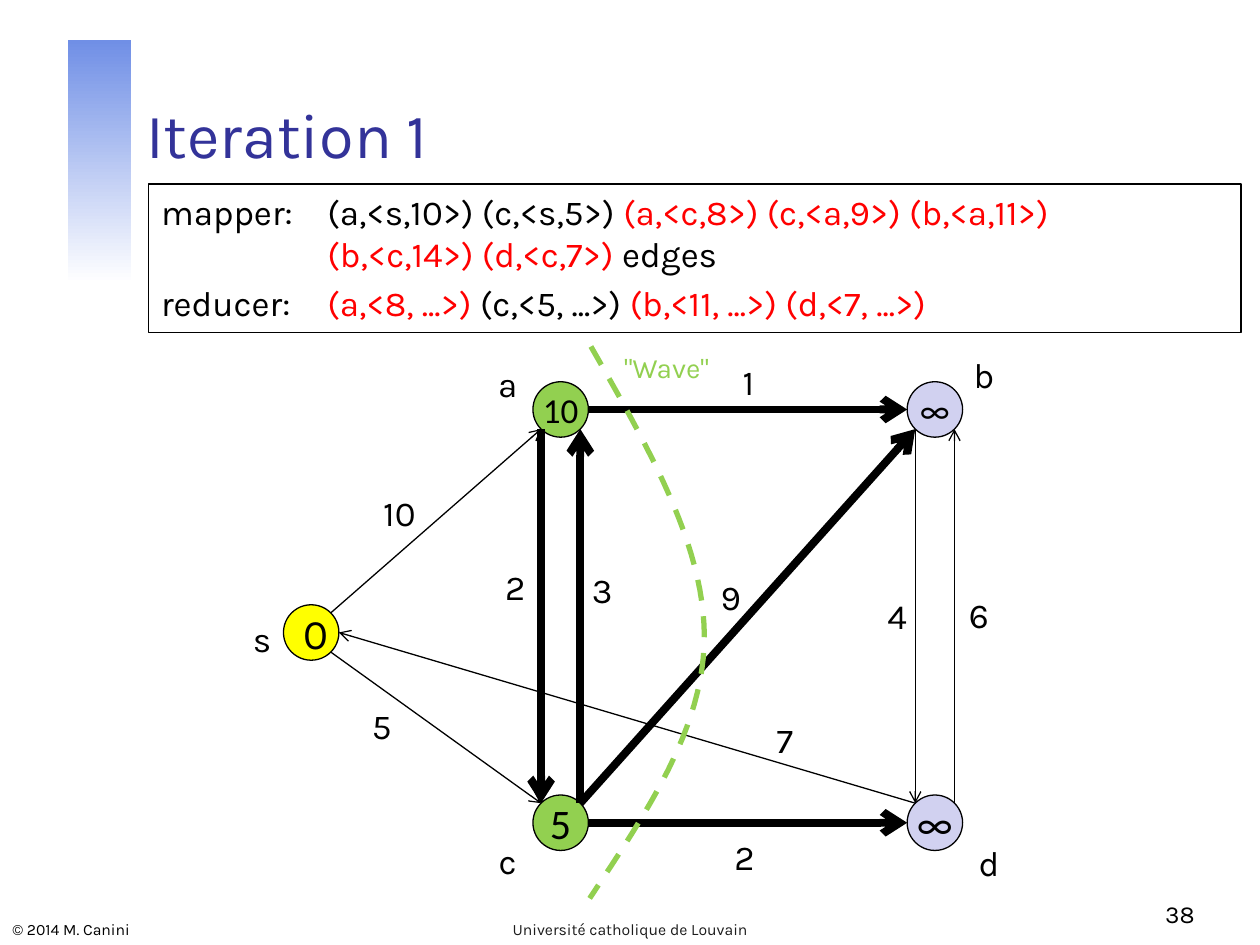
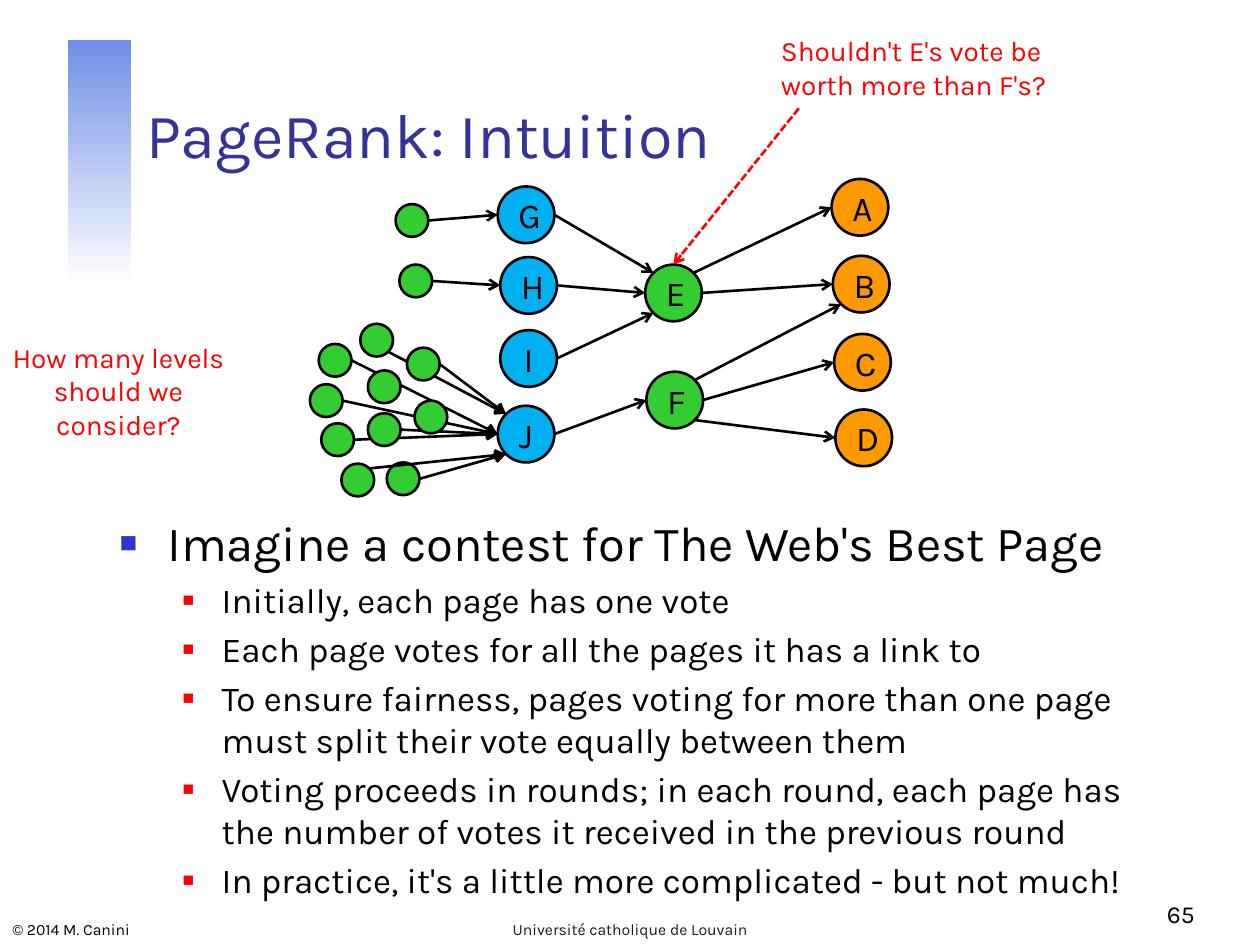
import pptx
import pptx.dml.color
import pptx.enum.dml
import pptx.enum.shapes
import pptx.enum.text
import pptx.oxml.ns
import pptx.util
from lxml import etree

PX = 9144
FONT = "Karla"
COLORS = {
    "title": "333399", "ink": "000000", "footer": "1C1C1C", "accent": "FF0000",
    "band_top": "708FE6", "band_end": "FFFFFF", "bullet": "3333CC",
    "source": "FFFF00", "reached": "92D050", "unreached": "D1D1F0",
    "target": "FF9900", "page": "33CC33", "hub": "00B0F0",
}
ALIGN = pptx.enum.text.PP_ALIGN
ANCHOR = pptx.enum.text.MSO_ANCHOR
DASH = pptx.enum.dml.MSO_LINE
SHAPE = pptx.enum.shapes.MSO_SHAPE
DIAGONAL = 0.5 ** 0.5
COMPASS = {
    "N": (0, -1), "E": (1, 0), "S": (0, 1), "W": (-1, 0),
    "NE": (DIAGONAL, -DIAGONAL), "SE": (DIAGONAL, DIAGONAL),
    "SW": (-DIAGONAL, DIAGONAL), "NW": (-DIAGONAL, -DIAGONAL),
}


def px(*lengths):
    return [pptx.util.Emu(round(length * PX)) for length in lengths]


def rgb(name):
    return pptx.dml.color.RGBColor.from_string(COLORS[name])


def xml(parent, tag, **attributes):
    return etree.SubElement(parent, pptx.oxml.ns.qn(tag), attributes)


def site(circle, direction):
    left, top, size = circle
    dx, dy = COMPASS[direction]
    return left + size / 2 * (1 + dx), top + size / 2 * (1 + dy)


def bezier(start, control_1, control_2, end, steps=24):
    for step in range(1, steps + 1):
        t = step / steps
        weights = ((1 - t) ** 3, 3 * t * (1 - t) ** 2, 3 * t * t * (1 - t), t ** 3)
        points = (start, control_1, control_2, end)
        yield tuple(sum(w * p[axis] for w, p in zip(weights, points)) for axis in (0, 1))


class Deck:
    """Holds the lecture style and the slide being filled."""

    def __init__(self):
        self.presentation = pptx.Presentation()
        self.presentation.slide_width, self.presentation.slide_height = px(1000, 750)
        self.slide = None

    def page(self, title, number, layout):
        layouts = self.presentation.slide_layouts
        self.slide = self.presentation.slides.add_slide(layouts[layout])
        band = self.shape(SHAPE.RECTANGLE, (54, 32, 50, 193))
        band.fill.gradient()
        band.fill.gradient_angle = 270
        for stop, name in zip(band.fill.gradient_stops, ("band_top", "band_end")):
            stop.color.rgb = rgb(name)
        self.place(self.slide.shapes.title, (106, 33, 852, 108), ANCHOR.BOTTOM)
        self.add_lines(self.slide.shapes.title.text_frame, [[(title, "title")]], 36)
        self.text("© 2014 M. Canini", (0, 722, 302, 28), 9, anchor=ANCHOR.BOTTOM)
        self.text("Université catholique de Louvain", (342, 722, 316, 28), 9,
                  "footer", ALIGN.CENTER, ANCHOR.BOTTOM)
        self.text(str(number), (750, 692, 208, 50), 14, "ink", ALIGN.RIGHT, ANCHOR.BOTTOM)

    def place(self, placeholder, box, anchor):
        placeholder.left, placeholder.top, placeholder.width, placeholder.height = px(*box)
        frame = placeholder.text_frame
        frame.auto_size = pptx.enum.text.MSO_AUTO_SIZE.NONE
        frame.vertical_anchor = anchor

    def add_lines(self, frame, paragraphs, size, align=ALIGN.LEFT, font=FONT):
        for index, parts in enumerate(paragraphs):
            paragraph = frame.add_paragraph() if index else frame.paragraphs[0]
            paragraph.alignment = align
            paragraph.space_before = pptx.util.Pt(size * 0.2 if index else 0)
            for words, color in parts:
                for line_index, line in enumerate(words.split("\n")):
                    if line_index:
                        paragraph.add_line_break()
                    self.add_words(paragraph, line, size, color, font)

    def add_words(self, paragraph, words, size, color="ink", font=FONT):
        run = paragraph.add_run()
        run.text = words
        run.font.size = pptx.util.Pt(size)
        run.font.name = font
        run.font.color.rgb = rgb(color)

    def text(self, words, box, size, color="ink", align=ALIGN.LEFT,
             anchor=ANCHOR.TOP, inset=None):
        frame = self.slide.shapes.add_textbox(*px(*box)).text_frame
        frame.word_wrap = True
        frame.vertical_anchor = anchor
        self.inset(frame, inset)
        self.add_lines(frame, [[(words, color)]], size, align)

    def label(self, words, center, top):
        self.text(words, (center - 30, top, 60, 44), 20, align=ALIGN.CENTER)

    def inset(self, frame, inset):
        if inset is not None:
            frame.margin_left = frame.margin_right = px(inset)[0]
            frame.margin_top = frame.margin_bottom = px(inset)[0]

    def shape(self, kind, box, fill=None, weight=None):
        shape = self.slide.shapes.add_shape(kind, *px(*box))
        shape.shadow.inherit = False
        self.paint(shape, fill, weight)
        return shape

    def paint(self, shape, fill, weight, color="ink"):
        if fill:
            shape.fill.solid()
            shape.fill.fore_color.rgb = rgb(fill)
        else:
            shape.fill.background()
        if weight:
            shape.line.width = pptx.util.Pt(weight)
            shape.line.color.rgb = rgb(color)
        else:
            shape.line.fill.background()

    def node(self, circle, fill, weight, words="", size=20, font=FONT, inset=None):
        left, top, diameter = circle
        node = self.shape(SHAPE.OVAL, (left, top, diameter, diameter), fill, weight)
        if words:
            node.text_frame.vertical_anchor = ANCHOR.MIDDLE
            self.inset(node.text_frame, inset)
            self.add_lines(node.text_frame, [[(words, "ink")]], size, ALIGN.CENTER, font)

    def arrow(self, start, end, weight, color="ink", dash=None):
        straight = pptx.enum.shapes.MSO_CONNECTOR.STRAIGHT
        arrow = self.slide.shapes.add_connector(straight, *px(*start, *end))
        arrow.line.width = pptx.util.Pt(weight)
        arrow.line.color.rgb = rgb(color)
        if dash:
            arrow.line.dash_style = dash
        xml(arrow.get_or_add_ln(), "a:tailEnd", type="arrow")
        xml(arrow._element.spPr, "a:effectLst")

    def curve(self, points, weight, color):
        start, *rest = [px(*point) for point in points]
        builder = self.slide.shapes.build_freeform(*start, scale=1.0)
        builder.add_line_segments(rest, close=False)
        curve = builder.convert_to_shape()
        curve.shadow.inherit = False
        self.paint(curve, None, weight, color)
        curve.line.dash_style = DASH.DASH

    def tabbed_box(self, paragraphs, box, tab, size):
        frame = self.shape(SHAPE.RECTANGLE, box, weight=0.75).text_frame
        frame.vertical_anchor = ANCHOR.TOP
        self.add_lines(frame, paragraphs, size)
        for paragraph in frame.paragraphs:
            tabs = xml(paragraph._p.get_or_add_pPr(), "a:tabLst")
            xml(tabs, "a:tab", pos=str(tab * PX), algn="l")

    def bullets(self, items, box):
        levels = [(28, 38, 38, "bullet", 60), (20, 81, 31, "accent", 55)]
        body = self.slide.placeholders[1]
        self.place(body, box, ANCHOR.TOP)
        for index, (level, words) in enumerate(items):
            size, margin, hanging, color, percent = levels[level]
            frame = body.text_frame
            paragraph = frame.add_paragraph() if index else frame.paragraphs[0]
            paragraph.level = level
            paragraph.space_before = pptx.util.Pt(size * 0.2 if index else 0)
            properties = paragraph._p.get_or_add_pPr()
            properties.set("marL", str(margin * PX))
            properties.set("indent", str(-hanging * PX))
            xml(xml(properties, "a:buClr"), "a:srgbClr", val=COLORS[color])
            xml(properties, "a:buSzPct", val=str(percent * 1000))
            xml(properties, "a:buFont", typeface="Arial")
            xml(properties, "a:buChar", char="■")
            self.add_words(paragraph, words, size)


def iteration_slide(deck):
    deck.page("Iteration 1", 38, 5)
    deck.tabbed_box([
        [("mapper:\t(a,<s,10>) (c,<s,5>) ", "ink"),
         ("(a,<c,8>) (c,<a,9>) (b,<a,11>)\n\t(b,<c,14>) (d,<c,7>)", "accent"),
         (" edges", "ink")],
        [("reducer:\t", "ink"), ("(a,<8, ...>) ", "accent"),
         ("(c,<5, ...>) ", "ink"), ("(b,<11, ...>) (d,<7, ...>)", "accent")],
    ], (118, 146, 867, 118), 132, 20)

    vertices = {"s": (225, 480, 44), "a": (423, 303, 44), "c": (423, 631, 44),
                "b": (720, 303, 44), "d": (720, 631, 44)}
    deck.node(vertices["s"], "source", 0.75, "0", 24)
    for name, fill, distance, size in [
            ("a", "reached", "10", 20), ("c", "reached", "5", 24),
            ("b", "unreached", "∞", 20), ("d", "unreached", "∞", 24)]:
        deck.node(vertices[name], fill, 0.75, distance, size, "Calibri", 0)

    thin, thick = 0.75, 4.5
    for tail, leave, head, enter, weight, cost, center, top in [
            ("s", "NE", "a", "SW", thin, "10", 317, 385),
            ("s", "SE", "c", "NW", thin, "5", 303, 554),
            ("a", "E", "b", "W", thick, "1", 594, 281),
            ("c", "E", "d", "W", thick, "2", 591, 658),
            ("c", "NE", "b", "SW", thick, "9", 580, 452),
            ("d", "NW", "s", "E", thin, "7", 623, 565),
            ("c", "NE", "a", "SE", thick, "3", 478, 446),
            ("a", "SW", "c", "NW", thick, "2", 409, 444),
            ("d", "NE", "b", "SE", thin, "6", 777, 466),
            ("b", "SW", "d", "NW", thin, "4", 712, 467)]:
        deck.arrow(site(vertices[tail], leave), site(vertices[head], enter), weight)
        deck.label(cost, center, top)
    for name, center, top in [("s", 208, 485), ("a", 403, 283), ("b", 781, 276),
                              ("c", 403, 661), ("d", 785, 663)]:
        deck.label(name, center, top)

    crest = (559, 505)
    wave = [(469, 275), *bezier((469, 275), (514, 354), (559, 432), crest),
            *bezier(crest, (559, 578), (513, 645), (468, 713))]
    deck.curve(wave, 3, "reached")
    deck.text('"Wave"', (483, 273, 92, 37), 16, "reached", ALIGN.CENTER)


def pagerank_slide(deck):
    deck.page("PageRank: Intuition", 65, 1)
    deck.bullets([
        (0, "Imagine a contest for The Web's Best Page"),
        (1, "Initially, each page has one vote"),
        (1, "Each page votes for all the pages it has a link to"),
        (1, "To ensure fairness, pages voting for more than one page "
            "must split their vote equally between them"),
        (1, "Voting proceeds in rounds; in each round, each page has "
            "the number of votes it received in the previous round"),
        (1, "In practice, it's a little more complicated - but not much!"),
    ], (85, 402, 850, 300))

    weight = 1.5
    pages = {}
    for fill, spots in [
            ("target", {"A": (660, 142), "B": (661, 203), "C": (662, 265), "D": (663, 325)}),
            ("page", {"E": (512, 210), "F": (513, 295)}),
            ("hub", {"G": (395, 148), "H": (397, 204), "I": (397, 262), "J": (395, 322)})]:
        for name, spot in spots.items():
            pages[name] = (*spot, 45)
            deck.node(pages[name], fill, weight, name)
    for tail, leave, head, enter in [
            ("E", "NE", "A", "W"), ("E", "E", "B", "W"), ("F", "NE", "B", "SW"),
            ("F", "E", "C", "W"), ("F", "SE", "D", "W"), ("G", "E", "E", "NW"),
            ("H", "E", "E", "W"), ("I", "E", "E", "SW"), ("J", "E", "F", "W")]:
        deck.arrow(site(pages[tail], leave), site(pages[head], enter), weight)

    back_voters = [
        (314, 162, "E", "G", "W"), (317, 210, "E", "H", "W"), (253, 273, "E", "J", "W"),
        (246, 305, "E", "J", "W"), (255, 336, "E", "J", "W"), (271, 368, "NE", "J", "SW"),
        (286, 257, "SE", "J", "NW"), (307, 367, "E", "J", "SW")]
    front_voters = [(323, 276, "E", "J", "NW"), (292, 328, "E", "J", "W")]
    silent_voters = [(292, 294), (329, 318)]
    for left, top, *vote in back_voters:
        deck.node((left, top, 26), "page", weight)
    for left, top, leave, head, enter in back_voters + front_voters:
        deck.arrow(site((left, top, 26), leave), site(pages[head], enter), weight)
    for left, top, *vote in front_voters + silent_voters:
        deck.node((left, top, 26), "page", weight)

    deck.text("Shouldn't E's vote be\nworth more than F's?", (610, 22, 250, 64), 16, "accent")
    deck.arrow((634, 86), site(pages["E"], "N"), weight, "accent", DASH.SQUARE_DOT)
    deck.text("How many levels should we consider?", (4, 270, 180, 84), 16,
              "accent", ALIGN.CENTER, inset=0)


def main():
    deck = Deck()
    iteration_slide(deck)
    pagerank_slide(deck)
    deck.presentation.save("out.pptx")


if __name__ == "__main__":
    main()
